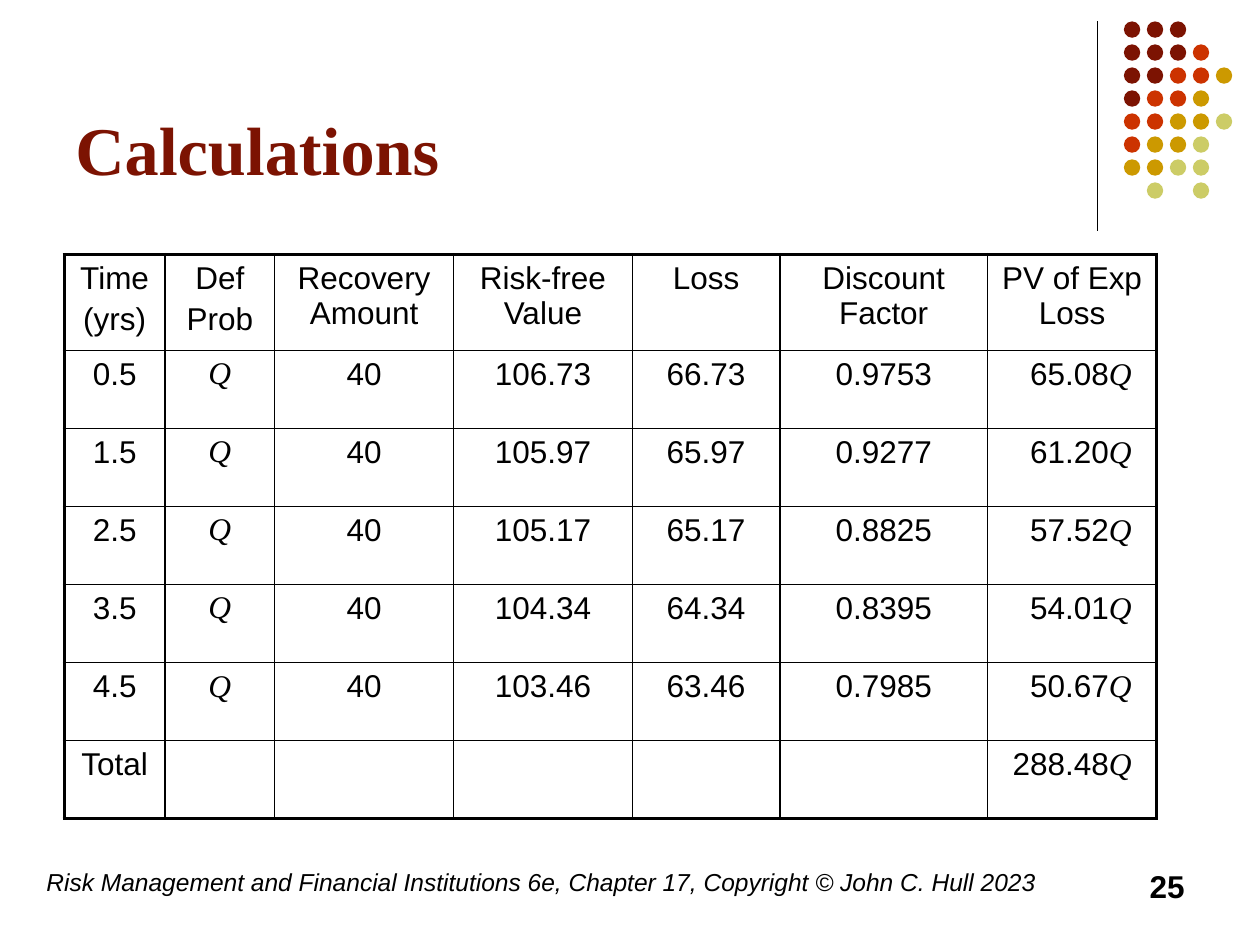
from dataclasses import dataclass

from lxml.etree import SubElement
from pptx import Presentation
from pptx.dml.color import RGBColor
from pptx.enum.shapes import MSO_CONNECTOR as Connector, MSO_SHAPE as Preset
from pptx.enum.text import MSO_ANCHOR as Anchor, PP_ALIGN as Align
from pptx.oxml import parse_xml
from pptx.oxml.ns import nsdecls, qn
from pptx.util import Inches, Pt

BLACK = "000000"
MAROON = "7C1302"
DOT_COLOURS = {"M": MAROON, "R": "CC3300", "G": "CC9900", "L": "CCCC66"}
DOT_ROWS = ["MMM", "MMMR", "MMRRG", "MRRG", "RRGGL", "RGGL", "GGLL", " L L"]
DOT_LEFT, DOT_TOP, DOT_SIZE = 8.92, 0.17, 0.13
DOT_PITCH = 0.73 / 4

COLUMN_WIDTHS = [0.8, 0.87, 1.42, 1.42, 1.17, 1.65, 1.34]
HEADER_HEIGHT, ROW_HEIGHT = 0.76, 0.62
HEADINGS = ["Time\n(yrs)", "Def\nProb", "Recovery Amount", "Risk-free Value",
            "Loss", "Discount Factor", "PV of Exp Loss"]


@dataclass
class Period:
    time: str
    risk_free: str
    loss: str
    discount: str
    present_value: str

    def cells(self) -> list[str]:
        return [self.time, "Q", "40", self.risk_free, self.loss,
                self.discount, self.present_value + "Q"]


@dataclass
class Label:
    text: str
    left: float
    top: float
    width: float
    height: float
    size: float
    face: str = "Arial"
    colour: str = BLACK
    bold: bool = False
    italic: bool = False
    align: Align = Align.LEFT
    anchor: Anchor = Anchor.TOP


PERIODS = [
    Period("0.5", "106.73", "66.73", "0.9753", "65.08"),
    Period("1.5", "105.97", "65.97", "0.9277", "61.20"),
    Period("2.5", "105.17", "65.17", "0.8825", "57.52"),
    Period("3.5", "104.34", "64.34", "0.8395", "54.01"),
    Period("4.5", "103.46", "63.46", "0.7985", "50.67"),
]
TOTAL = ["Total", "", "", "", "", "", "288.48Q"]

TITLE = Label("Calculations", 0.5, 0.13, 8.25, 1.42, 39, "Times New Roman",
              MAROON, bold=True, anchor=Anchor.BOTTOM)
FOOTER = Label("Risk Management and Financial Institutions 6e, Chapter 17, "
               "Copyright © John C. Hull 2023",
               0.27, 6.83, 8.27, 0.5, 14, italic=True)
PAGE_NUMBER = Label("25", 7.17, 6.83, 2.33, 0.5, 18, bold=True, align=Align.RIGHT)


def rgb(colour: str) -> RGBColor:
    return RGBColor.from_string(colour)


def add_run(paragraph, text: str, size: float, face: str = "Arial",
            colour: str = BLACK, bold: bool = False, italic: bool = False) -> None:
    run = paragraph.add_run()
    run.text = text
    font = run.font
    font.size, font.name = Pt(size), face
    font.bold, font.italic = bold, italic
    font.color.rgb = rgb(colour)


def draw_label(slide, label: Label) -> None:
    frame = slide.shapes.add_textbox(Inches(label.left), Inches(label.top),
                                     Inches(label.width), Inches(label.height)).text_frame
    frame.word_wrap = True
    frame.vertical_anchor = label.anchor
    paragraph = frame.paragraphs[0]
    paragraph.alignment = label.align
    add_run(paragraph, label.text, label.size, label.face, label.colour,
            label.bold, label.italic)


def draw_rule(slide) -> None:
    rule = slide.shapes.add_connector(Connector.STRAIGHT, Inches(8.71), Inches(0.17),
                                      Inches(8.71), Inches(1.83))
    rule.line.color.rgb = rgb(BLACK)
    rule.line.width = Pt(0.75)
    SubElement(rule._element.spPr, qn("a:effectLst"))


def draw_dots(slide) -> None:
    for row, codes in enumerate(DOT_ROWS):
        for column, code in enumerate(codes):
            if code not in DOT_COLOURS:
                continue
            dot = slide.shapes.add_shape(
                Preset.OVAL, Inches(DOT_LEFT + column * DOT_PITCH),
                Inches(DOT_TOP + row * DOT_PITCH), Inches(DOT_SIZE), Inches(DOT_SIZE))
            dot.shadow.inherit = False
            dot.fill.solid()
            dot.fill.fore_color.rgb = rgb(DOT_COLOURS[code])
            dot.line.fill.background()


def set_borders(cell, outer_sides: dict[str, bool]) -> None:
    properties = cell._tc.get_or_add_tcPr()
    for index, (side, outer) in enumerate(outer_sides.items()):
        width = Pt(2.25 if outer else 1)
        properties.insert(index, parse_xml(
            f'<a:ln{side} {nsdecls("a")} w="{width}"><a:solidFill>'
            f'<a:srgbClr val="{BLACK}"/></a:solidFill></a:ln{side}>'))


def fill_cell(cell, text: str, indent: float) -> None:
    cell.fill.background()
    frame = cell.text_frame
    for index, line in enumerate(text.split("\n")):
        paragraph = frame.add_paragraph() if index else frame.paragraphs[0]
        paragraph.alignment = Align.CENTER
        if index:
            paragraph.space_before = Pt(3.6)
        if indent:
            paragraph._p.get_or_add_pPr().set("marL", str(Inches(indent)))
        figure = line.removesuffix("Q")
        if figure:
            add_run(paragraph, figure, 18)
        if line.endswith("Q"):
            add_run(paragraph, "Q", 18, "Times New Roman", italic=True)


def draw_table(slide) -> None:
    rows = [HEADINGS, *(period.cells() for period in PERIODS), TOTAL]
    heights = [HEADER_HEIGHT] + [ROW_HEIGHT] * (len(rows) - 1)
    table = slide.shapes.add_table(len(rows), len(HEADINGS), Inches(0.51), Inches(2.02),
                                   Inches(sum(COLUMN_WIDTHS)), Inches(sum(heights))).table
    table.first_row = table.horz_banding = False
    for column, width in zip(table.columns, COLUMN_WIDTHS):
        column.width = Inches(width)
    last_row, last_column = len(rows) - 1, len(HEADINGS) - 1
    for r, (texts, height) in enumerate(zip(rows, heights)):
        table.rows[r].height = Inches(height)
        for c, text in enumerate(texts):
            cell = table.cell(r, c)
            is_period_value = c == last_column and 0 < r < last_row
            fill_cell(cell, text, 0.14 if is_period_value else 0)
            set_borders(cell, {"L": c == 0, "R": c == last_column,
                               "T": r == 0, "B": r == last_row})


def main() -> None:
    deck = Presentation()
    deck.slide_width, deck.slide_height = Inches(10), Inches(7.5)
    slide = deck.slides.add_slide(deck.slide_layouts[6])
    draw_rule(slide)
    draw_dots(slide)
    draw_label(slide, FOOTER)
    draw_label(slide, TITLE)
    draw_table(slide)
    draw_label(slide, PAGE_NUMBER)
    deck.save("out.pptx")


if __name__ == "__main__":
    main()
